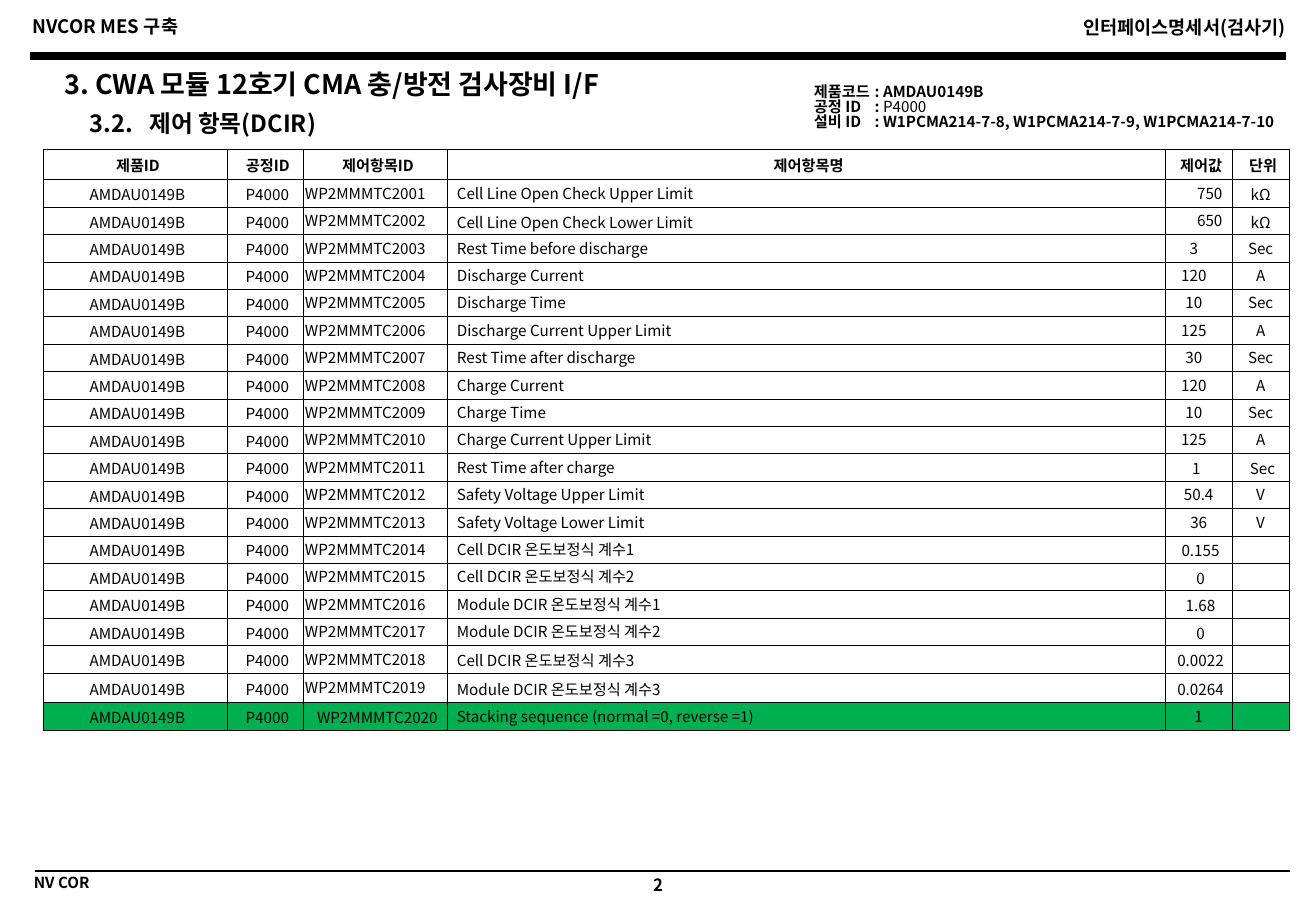
import pptx
import pptx.dml.color
import pptx.enum.shapes
import pptx.enum.text
import pptx.oxml
import pptx.oxml.ns
import pptx.util

ALIGN = pptx.enum.text.PP_ALIGN
ANCHOR = pptx.enum.text.MSO_ANCHOR
FONT = "Noto Sans CJK KR"
COLORS = {"ink": "000000", "paper": "FFFFFF", "added": "00B050"}
GRID_COLUMNS, GRID_ROWS = 1083, 750
SLIDE_WIDTH, SLIDE_HEIGHT = pptx.util.Inches(10.83), pptx.util.Inches(7.5)

COLUMN_SPANS = [151, 63, 118, 591, 55, 47]
TABLE_SPAN, HEADING_SPAN, LAST_SPANS = 479, 25, [23, 24, 23]
HEADINGS = ["제품ID", "공정ID", "제어항목ID", "제어항목명", "제어값", "단위"]
PRODUCT, PROCESS = "AMDAU0149B", "P4000"
CONTROLS = [
    ("Cell Line Open Check Upper Limit", "750", "kΩ"),
    ("Cell Line Open Check Lower Limit", "650", "kΩ"),
    ("Rest Time before discharge", "3", "Sec"),
    ("Discharge Current", "120", "A"),
    ("Discharge Time", "10", "Sec"),
    ("Discharge Current Upper Limit", "125", "A"),
    ("Rest Time after discharge", "30", "Sec"),
    ("Charge Current", "120", "A"),
    ("Charge Time", "10", "Sec"),
    ("Charge Current Upper Limit", "125", "A"),
    ("Rest Time after charge", "1", "Sec"),
    ("Safety Voltage Upper Limit", "50.4", "V"),
    ("Safety Voltage Lower Limit", "36", "V"),
    ("Cell DCIR 온도보정식 계수1", "0.155", ""),
    ("Cell DCIR 온도보정식 계수2", "0", ""),
    ("Module DCIR 온도보정식 계수1", "1.68", ""),
    ("Module DCIR 온도보정식 계수2", "0", ""),
    ("Cell DCIR 온도보정식 계수3", "0.0022", ""),
    ("Module DCIR 온도보정식 계수3", "0.0264", ""),
    ("Stacking sequence (normal =0, reverse =1)", "1", ""),
]


def across(columns):
    return round(SLIDE_WIDTH * columns / GRID_COLUMNS)


def down(rows):
    return round(SLIDE_HEIGHT * rows / GRID_ROWS)


def apply(target, values):
    for attribute, value in values.items():
        setattr(target, attribute, value)


def place(left, top, width, height):
    return {"left": across(left), "top": down(top),
            "width": across(width), "height": down(height)}


def color(name):
    return pptx.dml.color.RGBColor.from_string(COLORS[name])


def write(paragraph, text, size=9, bold=True, align=ALIGN.LEFT, spacing=1.0):
    apply(paragraph, {"alignment": align, "line_spacing": spacing})
    if not text:
        paragraph._p.get_or_add_endParaRPr().set("sz", str(size * 100))
        return
    run = paragraph.add_run()
    run.text = text
    run.font.fill.solid()
    run.font.fill.fore_color.rgb = color("ink")
    apply(run.font, {"size": pptx.util.Pt(size), "bold": bold, "name": FONT})
    east_asian = pptx.oxml.parse_xml(
        f'<a:ea {pptx.oxml.ns.nsdecls("a")} typeface="{FONT}"/>')
    run.font._element.append(east_asian)


def hang(paragraph, columns):
    properties = paragraph._p.get_or_add_pPr()
    properties.set("marL", str(across(columns)))
    properties.set("indent", str(-across(columns)))


def frame_of(shape, inset_rows, wrap=True):
    frame = shape.text_frame
    apply(frame, {"margin_left": across(10), "margin_right": across(10),
                  "margin_top": down(inset_rows), "margin_bottom": down(inset_rows),
                  "vertical_anchor": ANCHOR.TOP, "word_wrap": wrap,
                  "auto_size": pptx.enum.text.MSO_AUTO_SIZE.NONE})
    return frame


def add_label(slide, spot, text, size, align=ALIGN.LEFT, hanging=0):
    label = slide.shapes.add_textbox(**place(*spot))
    paragraph = frame_of(label, 3).paragraphs[0]
    write(paragraph, text, size, align=align, spacing=0.8)
    if hanging:
        hang(paragraph, hanging)


def add_title(slide, text):
    title = slide.shapes.title
    apply(title, place(43, 59, 509, 32))
    write(frame_of(title, 2, wrap=False).paragraphs[0], text, 16, spacing=0.8)


def add_rule(slide, left, right, row, weight):
    rule = slide.shapes.add_connector(
        pptx.enum.shapes.MSO_CONNECTOR.STRAIGHT,
        across(left), down(row), across(right), down(row))
    rule.line.color.rgb = color("ink")
    rule.line.width = pptx.util.Pt(weight)
    rule._element.spPr.append(
        pptx.oxml.parse_xml(f'<a:effectLst {pptx.oxml.ns.nsdecls("a")}/>'))


def add_equipment(slide):
    details = [("제품코드", PRODUCT, True), ("공정 ID", PROCESS, False),
               ("설비 ID", "W1PCMA214-7-8, W1PCMA214-7-9, W1PCMA214-7-10", True)]
    frame = frame_of(slide.shapes.add_textbox(**place(660, 65, 423, 51)), 5)
    for index, (label, value, bold) in enumerate(details):
        paragraph = frame.add_paragraph() if index else frame.paragraphs[0]
        hang(paragraph, 50)
        write(paragraph, f"{label}\t: ", spacing=0.84)
        write(paragraph, value, bold=bold, spacing=0.84)


def outline(cell):
    properties = cell._tc.get_or_add_tcPr()
    for position, side in enumerate(["lnL", "lnR", "lnT", "lnB"]):
        properties.insert(position, pptx.oxml.parse_xml(
            f'<a:{side} {pptx.oxml.ns.nsdecls("a")} w="{pptx.util.Pt(0.5)}">'
            f'<a:solidFill><a:srgbClr val="{COLORS["ink"]}"/></a:solidFill></a:{side}>'))


def fill_cell(cell, text, left=4, right=1, align=ALIGN.CENTER, spacing=1.0,
              bold=False, fill="paper"):
    apply(cell, {"margin_left": across(left), "margin_right": across(right),
                 "margin_top": down(1), "margin_bottom": 0,
                 "vertical_anchor": ANCHOR.MIDDLE})
    cell.fill.solid()
    cell.fill.fore_color.rgb = color(fill)
    write(cell.text_frame.paragraphs[0], text, bold=bold, align=align, spacing=spacing)
    outline(cell)


def control_formats(number):
    last = number == len(CONTROLS)
    tight = {"left": 0, "right": 0, "spacing": 0.8}
    item = {} if last else {"left": 1, "align": ALIGN.LEFT, "spacing": 0.8}
    name = {"left": 8, "align": ALIGN.LEFT,
            "spacing": 1.0 if number in (2, 18, 19) else 0.8}
    value, unit = {}, tight
    if number <= 2:
        value = tight | {"right": 8, "align": ALIGN.RIGHT}
        unit = tight | {"spacing": 1.0}
    elif number <= 10:
        value = tight | {"right": 8}
    elif number == 11:
        value, unit = {"right": 8}, {}
    elif number <= 13 or last:
        value = tight
    return [{}, {}, item, name, value, unit]


def add_controls(slide):
    row_count = len(CONTROLS) + 1
    table = slide.shapes.add_table(
        row_count, len(HEADINGS), **place(36, 123, sum(COLUMN_SPANS), TABLE_SPAN)).table
    apply(table, {"first_row": False, "horz_banding": False})
    for column, span in zip(table.columns, COLUMN_SPANS):
        column.width = across(span)
    even_count = len(CONTROLS) - len(LAST_SPANS)
    even_span = (TABLE_SPAN - HEADING_SPAN - sum(LAST_SPANS)) / even_count
    for row, span in zip(table.rows, [HEADING_SPAN] + [even_span] * even_count + LAST_SPANS):
        row.height = down(span)
    for column, heading in enumerate(HEADINGS):
        fill_cell(table.cell(0, column), heading, right=0, bold=True)
    for number, control in enumerate(CONTROLS, 1):
        texts = (PRODUCT, PROCESS, f"WP2MMMTC{2000 + number}", *control)
        fill = "added" if number == len(CONTROLS) else "paper"
        for column, (text, values) in enumerate(zip(texts, control_formats(number))):
            fill_cell(table.cell(number, column), text, fill=fill, **values)


def main():
    deck = pptx.Presentation()
    apply(deck, {"slide_width": SLIDE_WIDTH, "slide_height": SLIDE_HEIGHT})
    slide = deck.slides.add_slide(deck.slide_layouts[5])
    add_label(slide, (495, 720, 93, 24), "2", 10, ALIGN.CENTER)
    add_label(slide, (18, 719, 415, 22), "NV COR", 9)
    add_rule(slide, 29, 1062, 717, 1)
    add_label(slide, (653, 14, 415, 25), "인터페이스명세서(검사기)", 11, ALIGN.RIGHT)
    add_label(slide, (17, 13, 415, 25), "NVCOR MES 구축", 11)
    add_rule(slide, 25, 1058, 46, 4.5)
    add_title(slide, "3. CWA 모듈 12호기 CMA 충/방전 검사장비 I/F")
    add_label(slide, (64, 91, 383, 29), "3.2.\t제어 항목(DCIR)", 14, hanging=49)
    add_controls(slide)
    add_equipment(slide)
    deck.save("out.pptx")


main()
